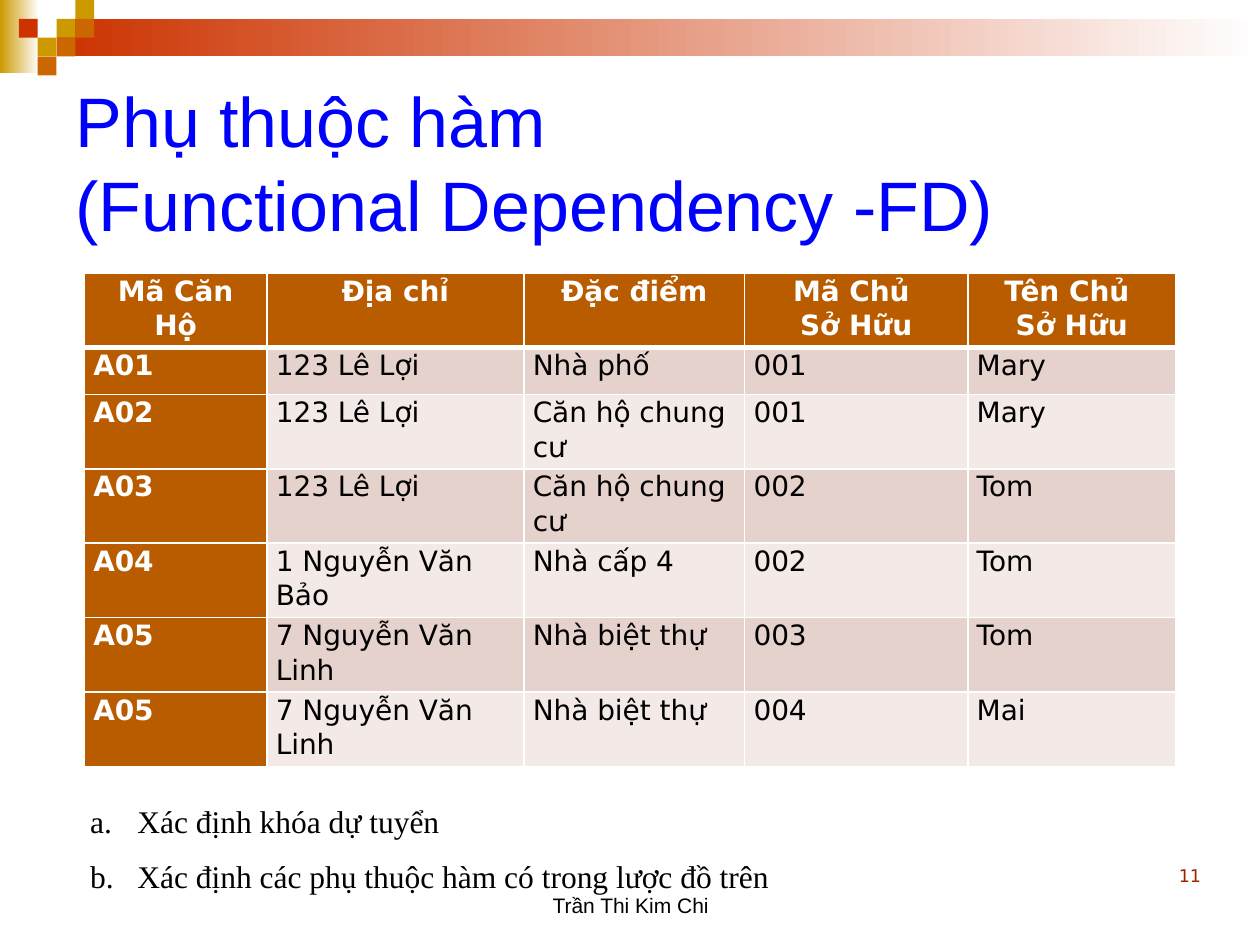
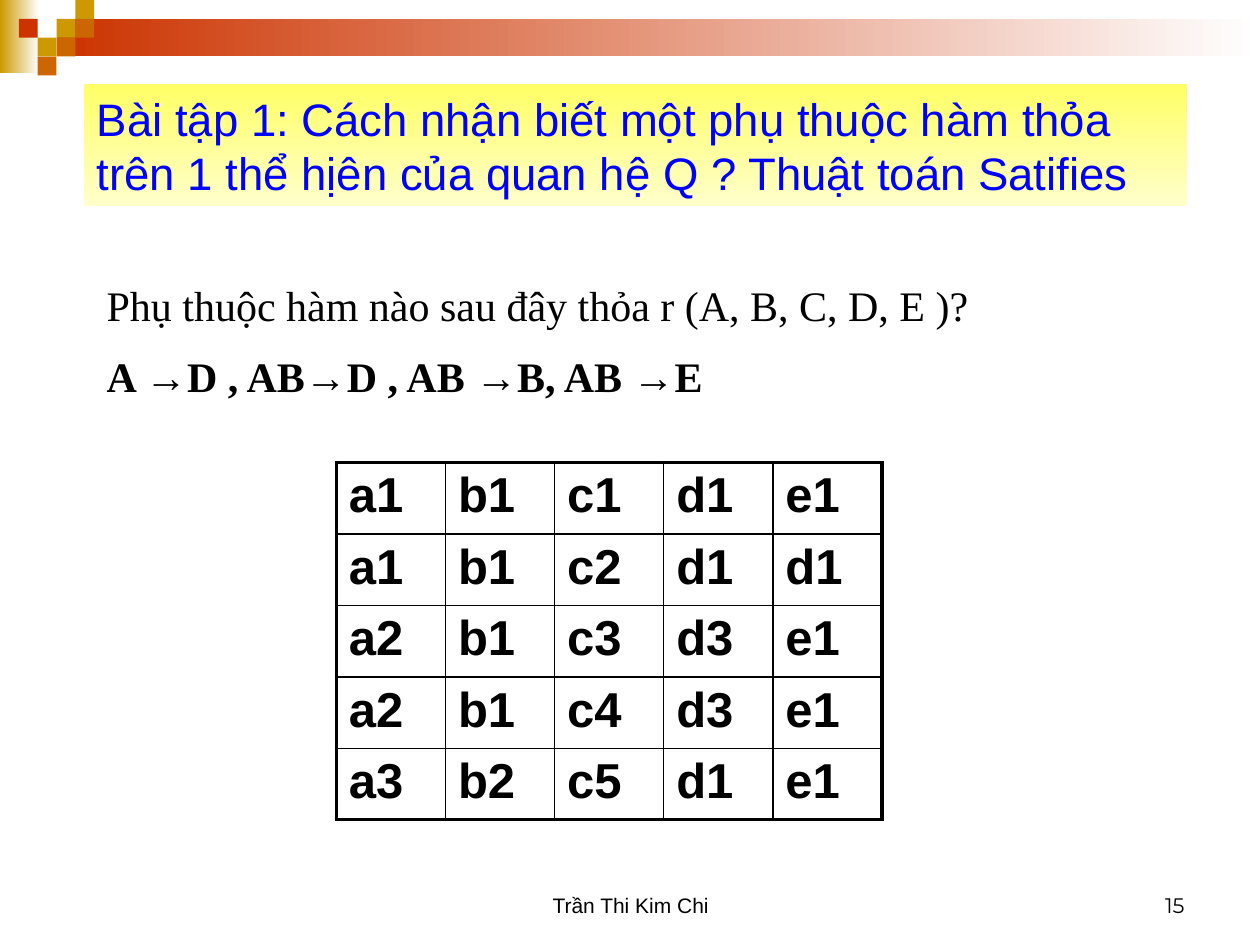
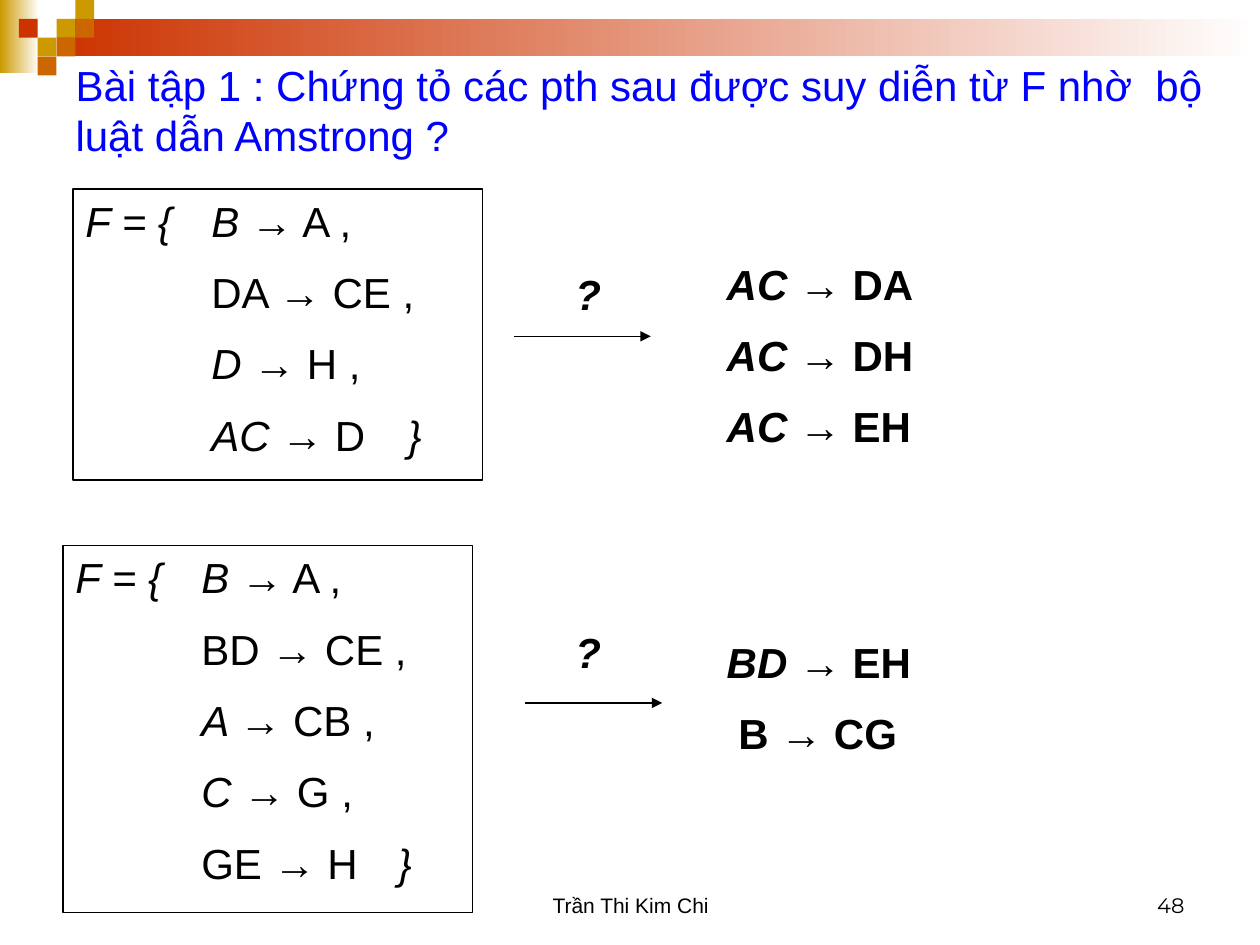
from dataclasses import dataclass

from lxml import etree
from pptx import Presentation
from pptx.dml.color import RGBColor
from pptx.enum.shapes import MSO_CONNECTOR, MSO_SHAPE
from pptx.enum.text import MSO_ANCHOR, MSO_AUTO_SIZE, PP_ALIGN
from pptx.oxml.ns import qn
from pptx.util import Cm, Pt

RECTANGLE = MSO_SHAPE.RECTANGLE
STRAIGHT = MSO_CONNECTOR.STRAIGHT
LEFT, CENTER, RIGHT = PP_ALIGN.LEFT, PP_ALIGN.CENTER, PP_ALIGN.RIGHT
TOP, BOTTOM = MSO_ANCHOR.TOP, MSO_ANCHOR.BOTTOM
TITLE_ONLY = 5


@dataclass(frozen=True)
class Theme:
    black: str = "000000"
    white: str = "FFFFFF"
    title: str = "0000FF"
    gold: str = "CC9900"
    red: str = "CC3300"
    orange: str = "CC6600"
    number: str = "972600"
    header: str = "B95C00"
    stripes: tuple = ("E6D2CC", "F3EAE7")
    title_fill: tuple = ("FFFF66", "FFFFCC")
    sans: str = "Arial"
    serif: str = "Times New Roman"
    table_font: str = "DejaVu Sans"
    number_font: str = "Montserrat"
    heading_size: int = 40
    exercise_size: int = 26
    body_size: int = 24
    list_size: int = 18
    table_size: int = 16
    tuple_size: int = 28
    footer_size: int = 12
    small_size: int = 10
    thin_line: float = 0.75


THEME = Theme()

FOOTER_BOX = (8.69, 17.35, 8.05, 1.27)
NUMBER_BOX = (18.21, 17.35, 5.92, 1.27)

APARTMENT_HEADER = ("Mã Căn Hộ", "Địa chỉ", "Đặc điểm", "Mã Chủ \nSở Hữu", "Tên Chủ \nSở Hữu")
APARTMENTS = (
    ("A01", "123 Lê Lợi", "Nhà phố", "001", "Mary"),
    ("A02", "123 Lê Lợi", "Căn hộ chung cư", "001", "Mary"),
    ("A03", "123 Lê Lợi", "Căn hộ chung cư", "002", "Tom"),
    ("A04", "1 Nguyễn Văn Bảo", "Nhà cấp 4", "002", "Tom"),
    ("A05", "7 Nguyễn Văn Linh", "Nhà biệt thự", "003", "Tom"),
    ("A05", "7 Nguyễn Văn Linh", "Nhà biệt thự", "004", "Mai"),
)
RELATION = (
    ("a1", "b1", "c1", "d1", "e1"),
    ("a1", "b1", "c2", "d1", "d1"),
    ("a2", "b1", "c3", "d3", "e1"),
    ("a2", "b1", "c4", "d3", "e1"),
    ("a3", "b2", "c5", "d1", "e1"),
)


def color(value):
    return RGBColor.from_string(value)


def lengths(box):
    return [Cm(value) for value in box]


def format_runs(paragraph, font, size, ink, bold=False):
    for run in paragraph.runs:
        run.font.name = font
        run.font.size = Pt(size)
        run.font.bold = bold
        run.font.color.rgb = color(ink)


def fill_gradient(shape, colors, angle):
    shape.fill.gradient()
    shape.fill.gradient_angle = angle
    for stop, value in zip(shape.fill.gradient_stops, colors):
        stop.color.rgb = color(value)


def add_text(slide, box, text, font, size, ink=THEME.black, bold=False, align=LEFT, anchor=TOP):
    shape = slide.shapes.add_textbox(*lengths(box))
    frame = shape.text_frame
    frame.word_wrap = True
    frame.vertical_anchor = anchor
    frame.text = text
    for paragraph in frame.paragraphs:
        paragraph.alignment = align
        format_runs(paragraph, font, size, ink, bold)
    return shape


def add_master_band(presentation, slide):
    """Draw the top band as a group and move it to the back of the master."""
    group = slide.shapes.add_group_shape()

    def add_block(box):
        block = group.shapes.add_shape(RECTANGLE, *lengths(box))
        block.shadow.inherit = False
        block.line.fill.background()
        return block

    fill_gradient(add_block((0, 0, 0.79, 1.47)), (THEME.gold, THEME.white), 0)
    fill_gradient(add_block((1.14, 0.38, 24.26, 0.76)), (THEME.red, THEME.white), 0)
    side = 0.38
    squares = {
        THEME.gold: ((3, 1), (4, 0), (2, 2)),
        THEME.orange: ((4, 1), (3, 2), (2, 3)),
        THEME.red: ((1, 1),),
    }
    for value, cells in squares.items():
        for column, row in cells:
            square = add_block((column * side, row * side, side, side))
            square.fill.solid()
            square.fill.fore_color.rgb = color(value)

    for number, properties in enumerate(group.element.iter(qn("p:cNvPr")), 100):
        properties.set("id", str(number))
    presentation.slide_master.shapes.element.insert(2, group.element)


def set_title(slide, box, text, size, anchor=TOP):
    title = slide.shapes.title
    title.left, title.top, title.width, title.height = lengths(box)
    frame = title.text_frame
    frame.text = text
    frame.word_wrap = True
    frame.auto_size = MSO_AUTO_SIZE.NONE
    frame.vertical_anchor = anchor
    paragraph = frame.paragraphs[0]
    paragraph.alignment = LEFT
    format_runs(paragraph, THEME.sans, size, THEME.title)
    return title


def add_footer(slide, number, box=NUMBER_BOX, font=THEME.number_font,
               size=THEME.footer_size, ink=THEME.black):
    add_text(slide, FOOTER_BOX, "Trần Thi Kim Chi", THEME.sans, THEME.footer_size,
             align=CENTER, anchor=BOTTOM)
    add_text(slide, box, number, font, size, ink, align=RIGHT, anchor=BOTTOM)


def set_borders(cell, ink, left, right, top, bottom):
    properties = cell._tc.get_or_add_tcPr()
    for side, width in zip("LRTB", (left, right, top, bottom)):
        line = etree.SubElement(properties, qn(f"a:ln{side}"), w=str(Pt(width)))
        fill = etree.SubElement(line, qn("a:solidFill"))
        etree.SubElement(fill, qn("a:srgbClr"), val=ink)


def add_plain_table(slide, position, widths, heights):
    box = (*position, sum(widths), sum(heights))
    table = slide.shapes.add_table(len(heights), len(widths), *lengths(box)).table
    table.first_row = table.horz_banding = False
    for column, width in zip(table.columns, widths):
        column.width = Cm(width)
    for row, height in zip(table.rows, heights):
        row.height = Cm(height)
    return table


def add_apartment_table(slide, position):
    heights = [1.5, 0.94] + [1.5] * 5
    table = add_plain_table(slide, position, (3.68, 5.18, 4.45, 4.5, 4.19), heights)
    for row, values in enumerate((APARTMENT_HEADER, *APARTMENTS)):
        for column, value in enumerate(values):
            cell = table.cell(row, column)
            is_heading = row == 0 or column == 0
            set_borders(cell, THEME.white, 1, 1, 3 if row == 1 else 1, 3 if row == 0 else 1)
            cell.fill.solid()
            fill = THEME.header if is_heading else THEME.stripes[(row - 1) % 2]
            cell.fill.fore_color.rgb = color(fill)
            cell.margin_left = cell.margin_right = Cm(0.18)
            cell.margin_top = cell.margin_bottom = 0
            cell.text_frame.text = value
            for paragraph in cell.text_frame.paragraphs:
                paragraph.alignment = CENTER if row == 0 else LEFT
                paragraph.line_spacing = 1.07
                ink = THEME.white if is_heading else THEME.black
                format_runs(paragraph, THEME.table_font, THEME.table_size, ink, is_heading)


def add_relation_table(slide, position):
    last = len(RELATION) - 1
    table = add_plain_table(slide, position, [2.2] * 5, [1.44] * 5)
    for row, values in enumerate(RELATION):
        for column, value in enumerate(values):
            cell = table.cell(row, column)
            outer_sides = (column == 0, column == last, row == 0, row == last)
            set_borders(cell, THEME.black, *(2.25 if outer else 1 for outer in outer_sides))
            cell.fill.background()
            cell.text_frame.text = value
            format_runs(cell.text_frame.paragraphs[0], THEME.sans, THEME.tuple_size,
                        THEME.black, True)


def add_lettered_list(slide, box, items):
    shape = add_text(slide, box, "\n".join(items), THEME.serif, THEME.list_size)
    for paragraph in shape.text_frame.paragraphs:
        paragraph.line_spacing = 1.07
        paragraph.space_after = Pt(8)
        properties = paragraph._p.get_or_add_pPr()
        properties.set("marL", str(Cm(0.95)))
        properties.set("indent", str(-Cm(0.95)))
        etree.SubElement(properties, qn("a:buAutoNum"), type="alphaLcPeriod")


def write_rules(shape, rules, bold=False):
    """Write one paragraph per rule; its parts are italic, upright, italic."""
    frame = shape.text_frame
    frame.word_wrap = True
    frame.vertical_anchor = TOP
    for index, rule in enumerate(rules):
        paragraph = frame.add_paragraph() if index else frame.paragraphs[0]
        paragraph.alignment = LEFT
        if index:
            paragraph.space_before = Pt(12)
        tabs = etree.SubElement(paragraph._p.get_or_add_pPr(), qn("a:tabLst"))
        for stop in (2.54, 6.5):
            etree.SubElement(tabs, qn("a:tab"), pos=str(Cm(stop)), algn="l")
        for part, text in enumerate(rule):
            if text:
                run = paragraph.add_run()
                run.text = text
                run.font.italic = part != 1
        format_runs(paragraph, THEME.sans, THEME.body_size, THEME.black, bold)


def add_rule_box(slide, box, rules):
    shape = slide.shapes.add_shape(RECTANGLE, *lengths(box))
    shape.shadow.inherit = False
    shape.fill.background()
    shape.line.color.rgb = color(THEME.black)
    shape.line.width = Pt(THEME.thin_line)
    write_rules(shape, rules)


def add_arrow(slide, left, top, length):
    arrow = slide.shapes.add_connector(STRAIGHT, *lengths((left, top, left + length, top)))
    arrow.line.color.rgb = color(THEME.black)
    arrow.line.width = Pt(THEME.thin_line)
    etree.SubElement(arrow.line._get_or_add_ln(), qn("a:tailEnd"), type="triangle")
    etree.SubElement(arrow.element.spPr, qn("a:effectLst"))


def add_derivation(slide, box, rules, arrow_position, question_top, result_box, results):
    """Place the given rules, the question arrow and the rules to be derived."""
    add_rule_box(slide, box, rules)
    add_arrow(slide, *arrow_position, 2.76)
    question = add_text(slide, (10.59, question_top, 2.54, 1.27), "?", THEME.sans,
                        THEME.body_size, bold=True, align=CENTER)
    question.text_frame.paragraphs[0].runs[0].font.italic = True
    write_rules(slide.shapes.add_textbox(*lengths(result_box)), results, bold=True)


def build_dependency_slide(slide):
    set_title(slide, (1.27, 1.27, 22.86, 3.81), "Phụ thuộc hàm\v(Functional Dependency -FD)",
              THEME.heading_size, BOTTOM)
    add_footer(slide, "11", (23.19, 16.97, 1.27, 1.02), THEME.table_font,
               THEME.small_size, THEME.number)
    add_apartment_table(slide, (1.7, 5.51))
    add_lettered_list(slide, (1.57, 16, 18.52, 2.13), (
        "Xác định khóa dự tuyển",
        "Xác định các phụ thuộc hàm có trong lược đồ trên",
    ))


def build_satisfies_slide(slide):
    title = set_title(
        slide, (1.7, 1.7, 22.23, 2.46),
        "Bài tập 1: Cách nhận biết một phụ thuộc hàm thỏa trên 1 thể hịên của quan hệ Q ? "
        "Thuật toán Satifies", THEME.exercise_size)
    fill_gradient(title, THEME.title_fill, 270)
    question = add_text(
        slide, (1.9, 5.51, 20.32, 2.79),
        "Phụ thuộc hàm nào sau đây thỏa r (A, B, C, D, E )?\nA →D , AB→D , AB →B, AB →E",
        THEME.serif, THEME.body_size)
    dependencies = question.text_frame.paragraphs[1]
    dependencies.space_before = Pt(12)
    dependencies.runs[0].font.bold = True
    add_relation_table(slide, (6.78, 9.32))
    add_footer(slide, "15")


def build_derivation_slide(slide):
    set_title(slide, (1.27, 1.07, 23.29, 2.29),
              "Bài tập 1 : Chứng tỏ các pth sau được suy diễn từ F nhờ  bộ luật dẫn Amstrong ?",
              THEME.body_size)
    add_derivation(
        slide, (1.47, 3.81, 8.26, 5.87),
        (("F = {\tB ", "→ A ,"), ("", "\tDA → CE ,"), ("\tD ", "→ H ,"),
         ("\tAC ", "→ D", "\t}")),
        (10.36, 6.78), 5.28, (14.4, 5.08, 8.46, 4.32),
        (("AC ", "→ DA"), ("AC ", "→ DH"), ("AC ", "→ EH")))
    add_derivation(
        slide, (1.27, 11, 8.26, 7.39),
        (("F = {\tB ", "→ A ,"), ("", "\tBD → CE ,"), ("\tA ", "→ CB ,"),
         ("\tC ", "→ G ,"), ("", "\tGE → H", "\t}")),
        (10.59, 14.17), 12.5, (14.4, 12.7, 6.55, 2.79),
        (("BD ", "→ EH"), ("", " B → CG")))
    add_footer(slide, "48")


def main():
    presentation = Presentation()
    presentation.slide_width, presentation.slide_height = Cm(25.4), Cm(19.05)
    builders = (build_dependency_slide, build_satisfies_slide, build_derivation_slide)
    for index, build in enumerate(builders):
        slide = presentation.slides.add_slide(presentation.slide_layouts[TITLE_ONLY])
        if index == 0:
            add_master_band(presentation, slide)
        build(slide)
    presentation.save("out.pptx")


if __name__ == "__main__":
    main()
